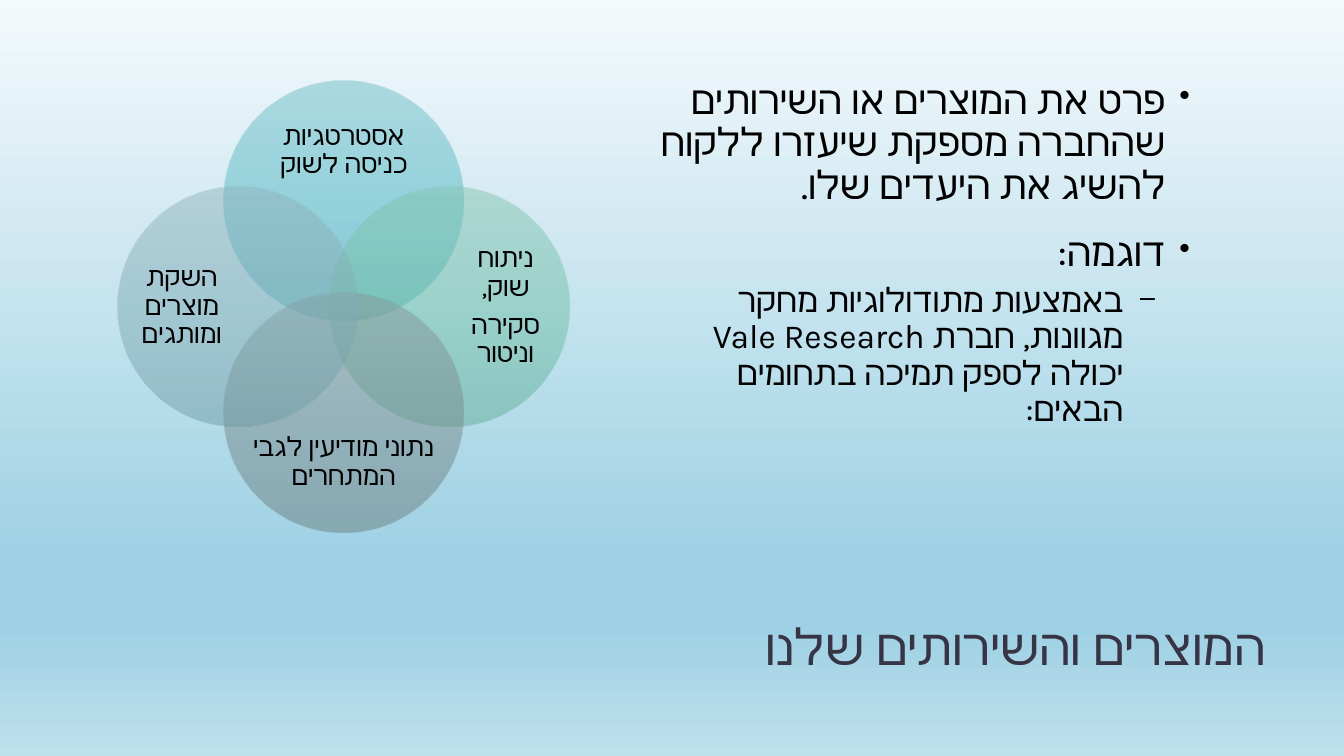
"""Build a right-to-left slide with a four-circle Venn diagram and bullets."""
import pptx
import pptx.util
import pptx.dml.color
import pptx.enum.shapes
import pptx.enum.text
import pptx.oxml.ns
import lxml.etree

Pt = pptx.util.Pt
qn = pptx.oxml.ns.qn
ALIGN = pptx.enum.text.PP_ALIGN
ANCHOR = pptx.enum.text.MSO_ANCHOR
SHAPE = pptx.enum.shapes.MSO_SHAPE

FONT = "Karla"
COLORS = {
    "title": "373545",
    "text": "000000",
    "sky": [(0, "F4FAFC"), (74, "9FD1E4"), (83, "9FD1E4"), (100, "BFE0ED")],
    "teal": [(0, "6FBEC7"), (50, "53BAC5"), (100, "44AAB5")],
    "green": [(0, "86C5B1"), (50, "71C1A8"), (100, "61AF97")],
    "gray": [(0, "89999A"), (50, "798D8F"), (100, "6A7E80")],
    "blue": [(0, "92B5BE"), (50, "82AEB8"), (100, "709CA7")],
}
MID_X, MID_Y = 245.5, 219
SIZE, STEP = 171.4, 75.8
WIDE, TALL = (132, 55), (66, 132)
CIRCLES = [
    ("teal", 0, -1, WIDE, ["אסטרטגיות כניסה לשוק"]),
    ("green", 1, 0, TALL, ["ניתוח שוק,", "סקירה וניטור"]),
    ("gray", 0, 1, WIDE, ["נתוני מודיעין לגבי המתחרים"]),
    ("blue", -1, 0, TALL, ["השקת מוצרים ומותגים"]),
]
BODY = [
    (0, "פרט את המוצרים או השירותים שהחברה מספקת שיעזרו ללקוח להשיג את היעדים שלו."),
    (0, "דוגמה:"),
    (1, "באמצעות מתודולוגיות מחקר מגוונות, חברת Vale Research יכולה לספק תמיכה בתחומים הבאים:"),
]
LEVELS = [("•", 18, -18, 28, 18), ("–", 48, -22.5, 24, 6)]


def add_node(parent, tag, **attrs):
    """Append a drawing element with the given attributes."""
    node = lxml.etree.SubElement(parent, qn(tag))
    for key, value in attrs.items():
        node.set(key, str(value))
    return node


def add_shape(slide, kind, box, stops, alpha=100):
    """Add a borderless shape with a vertical gradient."""
    shape = slide.shapes.add_shape(kind, *map(Pt, box))
    shape.shadow.inherit = False
    shape.line.fill.background()
    shape.fill.gradient()
    shape.fill.gradient_angle = 270
    ramp = shape.element.spPr.find(qn("a:gradFill")).find(qn("a:gsLst"))
    for stop in list(ramp):
        ramp.remove(stop)
    for spot, color in stops:
        stop = add_node(ramp, "a:gs", pos=spot * 1000)
        paint = add_node(stop, "a:srgbClr", val=color)
        if alpha < 100:
            add_node(paint, "a:alpha", val=alpha * 1000)


def add_text(slide, box, lines, size, color, align, space, anchor, inset=None):
    """Add a right-to-left text box and return its paragraphs."""
    frame = slide.shapes.add_textbox(*map(Pt, box)).text_frame
    frame.word_wrap = True
    frame.vertical_anchor = anchor
    if inset is not None:
        frame.margin_left = frame.margin_right = Pt(inset)
        frame.margin_top = frame.margin_bottom = Pt(inset)
    frame.text = "\n".join(lines)
    for para in frame.paragraphs:
        para.alignment = align
        para.line_spacing = space
        para._p.get_or_add_pPr().set("rtl", "1")
        for run in para.runs:
            run.font.size = Pt(size)
            run.font.name = FONT
            run.font.color.rgb = pptx.dml.color.RGBColor.from_string(color)
            add_node(run.font._element, "a:cs", typeface=FONT)
    return frame.paragraphs


def add_bullet(para, level):
    """Give a paragraph the bullet, indent and size of its level."""
    mark, margin, indent, size, before = LEVELS[level]
    para.level = level
    para.space_before = Pt(before)
    para.runs[0].font.size = Pt(size)
    props = para._p.get_or_add_pPr()
    props.set("marL", str(Pt(margin)))
    props.set("indent", str(Pt(indent)))
    tint = add_node(props, "a:buClr")
    add_node(tint, "a:srgbClr", val=COLORS["text"])
    add_node(props, "a:buSzPct", val=80000)
    add_node(props, "a:buChar", char=mark)


def add_circle(slide, hue, across, down, area, lines):
    """Add one Venn circle with its label."""
    left = MID_X + across * STEP - SIZE / 2
    top = MID_Y + down * STEP - SIZE / 2
    add_shape(slide, SHAPE.OVAL, (left, top, SIZE, SIZE), COLORS[hue], 50)
    width, height = area
    box = (MID_X + across * 115.6 - width / 2,
           MID_Y + down * 111.2 - height / 2, width, height)
    for para in add_text(slide, box, lines, 19, COLORS["text"], ALIGN.CENTER,
                         0.9, ANCHOR.MIDDLE, 0):
        para.space_after = Pt(6.65)


def main():
    """Build and save the slide."""
    deck = pptx.Presentation()
    deck.slide_width, deck.slide_height = Pt(960), Pt(540)
    slide = deck.slides.add_slide(deck.slide_layouts[6])
    add_shape(slide, SHAPE.RECTANGLE, (0, 0, 960, 540), COLORS["sky"])
    add_text(slide, (47.5, 401.8, 864, 84.2), ["המוצרים והשירותים שלנו"], 36,
             COLORS["title"], ALIGN.RIGHT, 0.8, ANCHOR.BOTTOM)
    paras = add_text(slide, (461.5, 54, 396, 330), [text for _, text in BODY],
                     28, COLORS["text"], ALIGN.RIGHT, 0.9, ANCHOR.TOP)
    for para, (level, _) in zip(paras, BODY):
        add_bullet(para, level)
    for circle in CIRCLES:
        add_circle(slide, *circle)
    deck.save("out.pptx")


if __name__ == "__main__":
    main()
